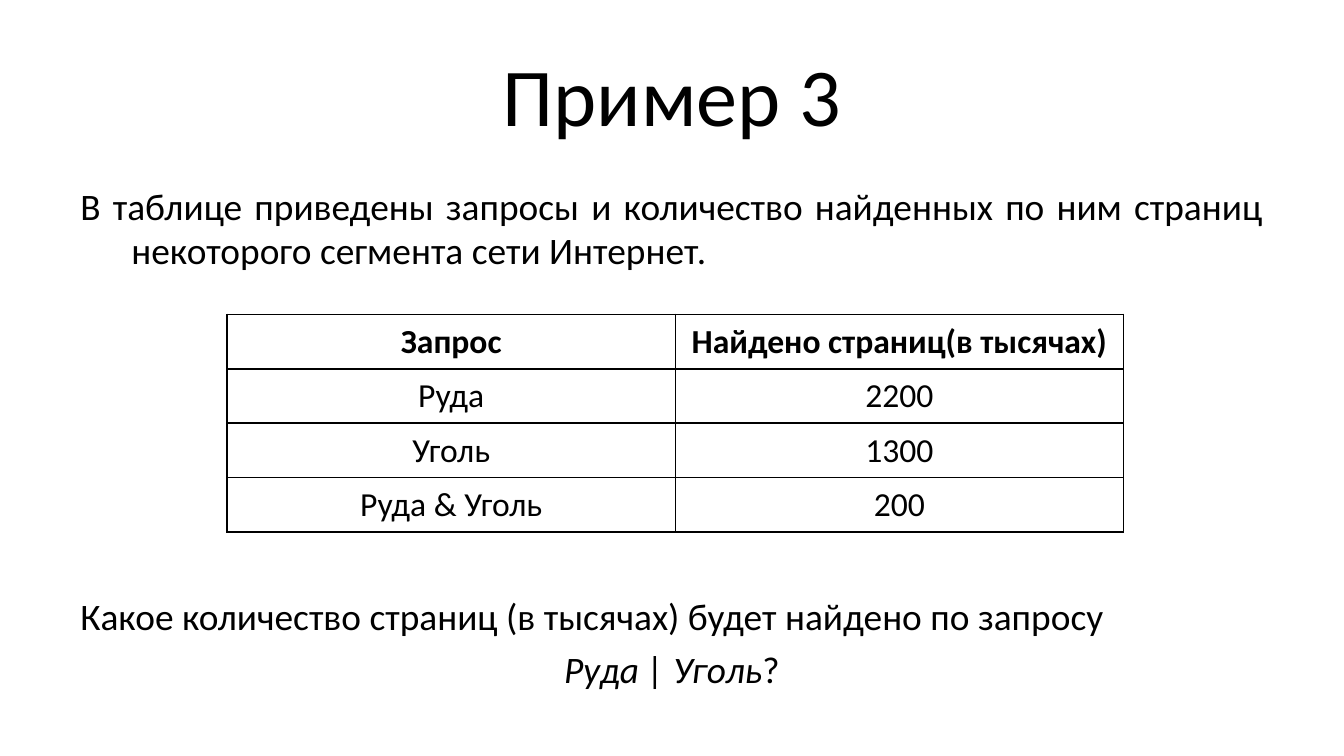
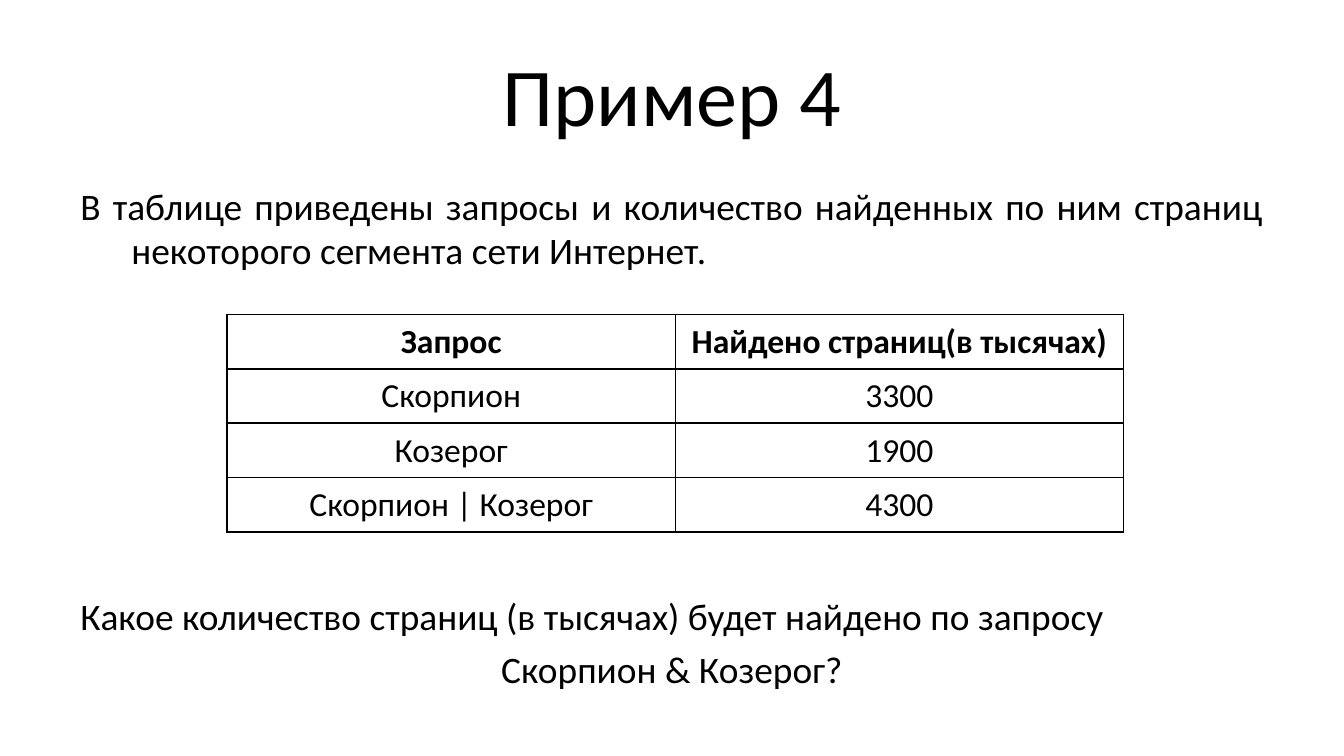
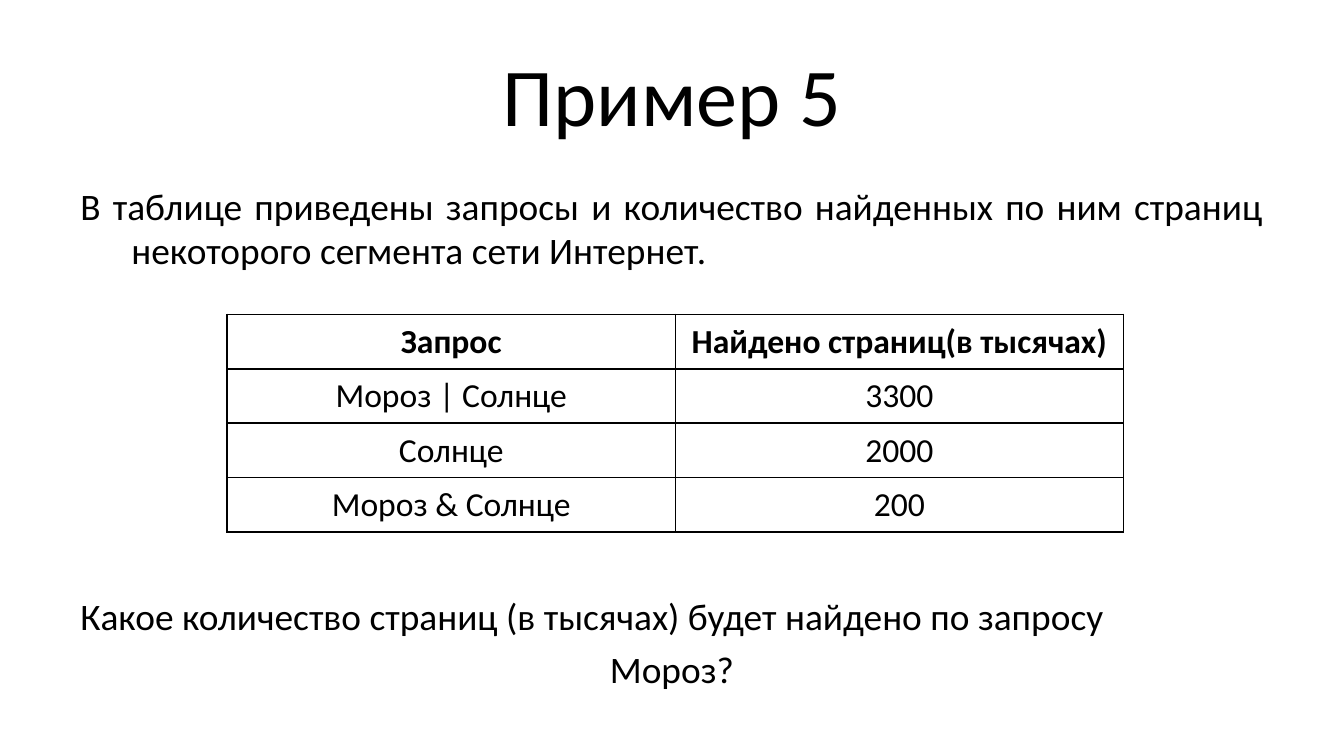
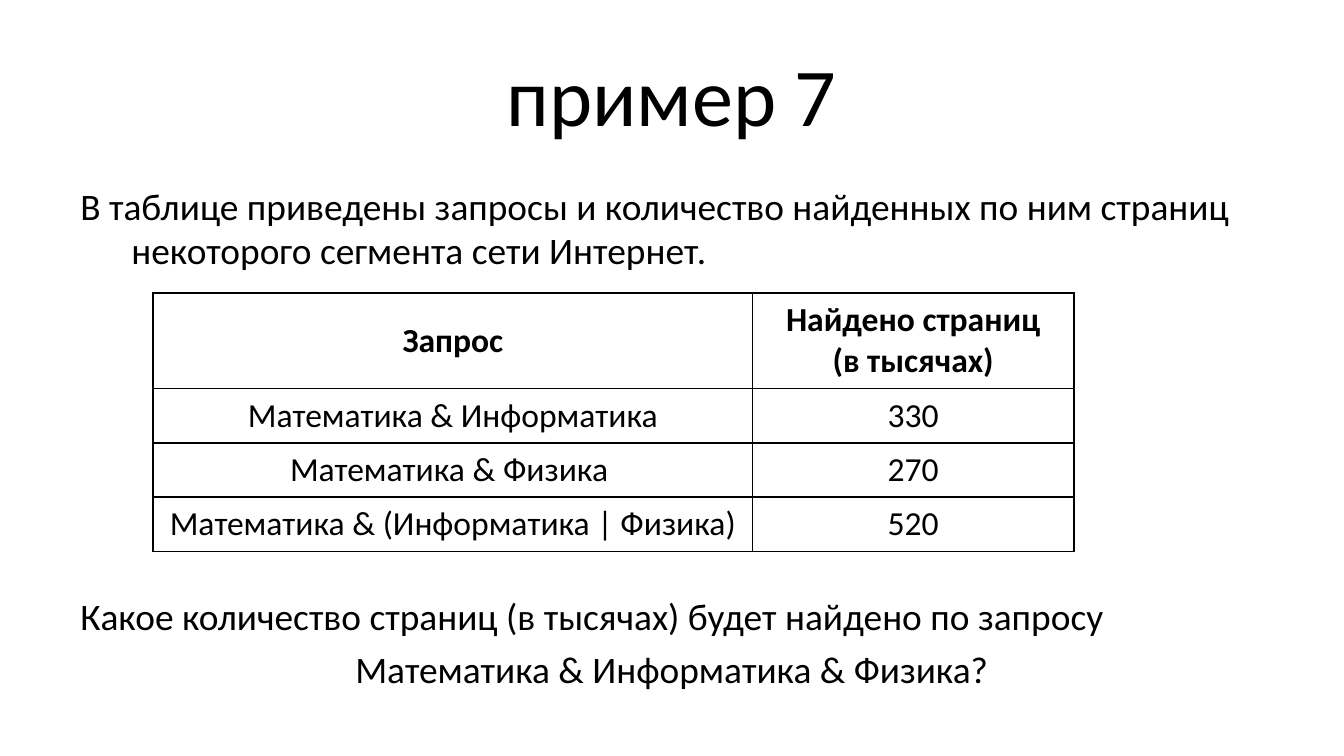
"""Builds four slides of search-query exercises, each with a task, a table and a question."""
from lxml.etree import SubElement
from pptx import Presentation
from pptx.dml.color import RGBColor
from pptx.enum.text import MSO_ANCHOR as Anchor, PP_ALIGN as Align
from pptx.oxml.ns import qn
from pptx.util import Inches, Pt

FONT, INK = "Calibri", "000000"
WIDTH = 10
HEIGHT = WIDTH * 9 / 16
MARGIN = WIDTH / 20
TITLE_SIZE, BODY_SIZE, CELL_SIZE = 44, 20, 18
TITLE_TOP, TITLE_HEIGHT = 0.23, 0.94
BODY_TOP, BODY_HEIGHT = 1.31, 3.71
HANG, LINE_GAP, TABLE_GAP = 0.38, 4.2, 172
ROW_HEIGHT = 1.62 / 4

TASK = "В таблице приведены запросы и количество найденных по ним страниц некоторого сегмента сети Интернет."
QUESTION = "Какое количество страниц (в тысячах) будет найдено по запросу"
HEADER = ("Запрос", "Найдено страниц(в тысячах)")
TALL_HEADER = ("Запрос", "Найдено страниц\n(в тысячах)")
EVEN = {"left": 1.69, "top": 2.34, "columns": (6.67 / 2, 6.67 / 2), "header_height": ROW_HEIGHT}
WIDE = {"left": 1.14, "top": 2.18, "columns": (4.46, 2.39), "header_height": 0.71}

EXAMPLES = [
    {"title": "Пример 3", "grid": EVEN, "align": Align.JUSTIFY,
     "rows": [HEADER, ("Руда", "2200"), ("Уголь", "1300"), ("Руда & Уголь", "200")],
     "query": "Руда | Уголь", "mark": "?"},
    {"title": "Пример 4", "grid": EVEN, "align": Align.JUSTIFY,
     "rows": [HEADER, ("Скорпион", "3300"), ("Козерог", "1900"), ("Скорпион | Козерог", "4300")],
     "query": "Скорпион & Козерог?"},
    {"title": "Пример 5", "grid": EVEN, "align": Align.JUSTIFY,
     "rows": [HEADER, ("Мороз | Солнце", "3300"), ("Солнце", "2000"), ("Мороз & Солнце", "200")],
     "query": "Мороз?"},
    {"title": "пример 7", "grid": WIDE, "align": Align.LEFT,
     "rows": [TALL_HEADER, ("Математика & Информатика", "330"), ("Математика & Физика ", "270"),
              ("Математика & (Информатика | Физика)", "520")],
     "query": "Математика & Информатика & Физика?"},
]


def color(value):
    return RGBColor.from_string(value)


def add_span(para, text, size=BODY_SIZE, bold=False, italic=False):
    span = para.add_run()
    span.text = text
    font = span.font
    font.name, font.size, font.bold, font.italic = FONT, Pt(size), bold, italic
    font.color.rgb = color(INK)


def write(frame, text, align=Align.CENTER, before=0, hang=0, **font):
    for line in text.split("\n"):
        para = frame.paragraphs[-1]
        if para.runs:
            para = frame.add_paragraph()
        para.alignment, para.space_before = align, Pt(before)
        if hang:
            props = para._p.get_or_add_pPr()
            props.set("marL", str(Inches(hang)))
            props.set("indent", str(-Inches(hang)))
        add_span(para, line, **font)
    return para


def add_box(page, top, height, anchor):
    box = page.shapes.add_textbox(Inches(MARGIN), Inches(top), Inches(WIDTH - 2 * MARGIN), Inches(height))
    frame = box.text_frame
    frame.word_wrap, frame.vertical_anchor = True, anchor
    return frame


def outline(cell):
    props = cell._tc.get_or_add_tcPr()
    for side in ("lnL", "lnR", "lnT", "lnB"):
        line = SubElement(props, qn(f"a:{side}"), w=str(Pt(1)))
        fill = SubElement(line, qn("a:solidFill"))
        SubElement(fill, qn("a:srgbClr"), val=INK)
    cell.fill.background()


def add_table(page, rows, left, top, columns, header_height):
    heights = [header_height] + [ROW_HEIGHT] * (len(rows) - 1)
    table = page.shapes.add_table(len(rows), len(columns), Inches(left), Inches(top),
                                  Inches(sum(columns)), Inches(sum(heights))).table
    table.first_row = table.horz_banding = False
    for column, width in zip(table.columns, columns):
        column.width = Inches(width)
    for index, (row, height, texts) in enumerate(zip(table.rows, heights, rows)):
        row.height = Inches(height)
        for cell, text in zip(row.cells, texts):
            cell.vertical_anchor = Anchor.MIDDLE
            write(cell.text_frame, text, size=CELL_SIZE, bold=index == 0)
            outline(cell)


def add_example(deck, example):
    page = deck.slides.add_slide(deck.slide_layouts[6])
    write(add_box(page, TITLE_TOP, TITLE_HEIGHT, Anchor.MIDDLE), example["title"], size=TITLE_SIZE)
    body = add_box(page, BODY_TOP, BODY_HEIGHT, Anchor.TOP)
    write(body, TASK, align=example["align"], before=LINE_GAP, hang=HANG)
    write(body, QUESTION, align=example["align"], before=TABLE_GAP, hang=HANG)
    para = write(body, example["query"], before=LINE_GAP, hang=HANG, italic="mark" in example)
    if "mark" in example:
        add_span(para, example["mark"])
    add_table(page, example["rows"], **example["grid"])


def main():
    deck = Presentation()
    deck.slide_width, deck.slide_height = Inches(WIDTH), Inches(HEIGHT)
    for example in EXAMPLES:
        add_example(deck, example)
    deck.save("out.pptx")


if __name__ == "__main__":
    main()
